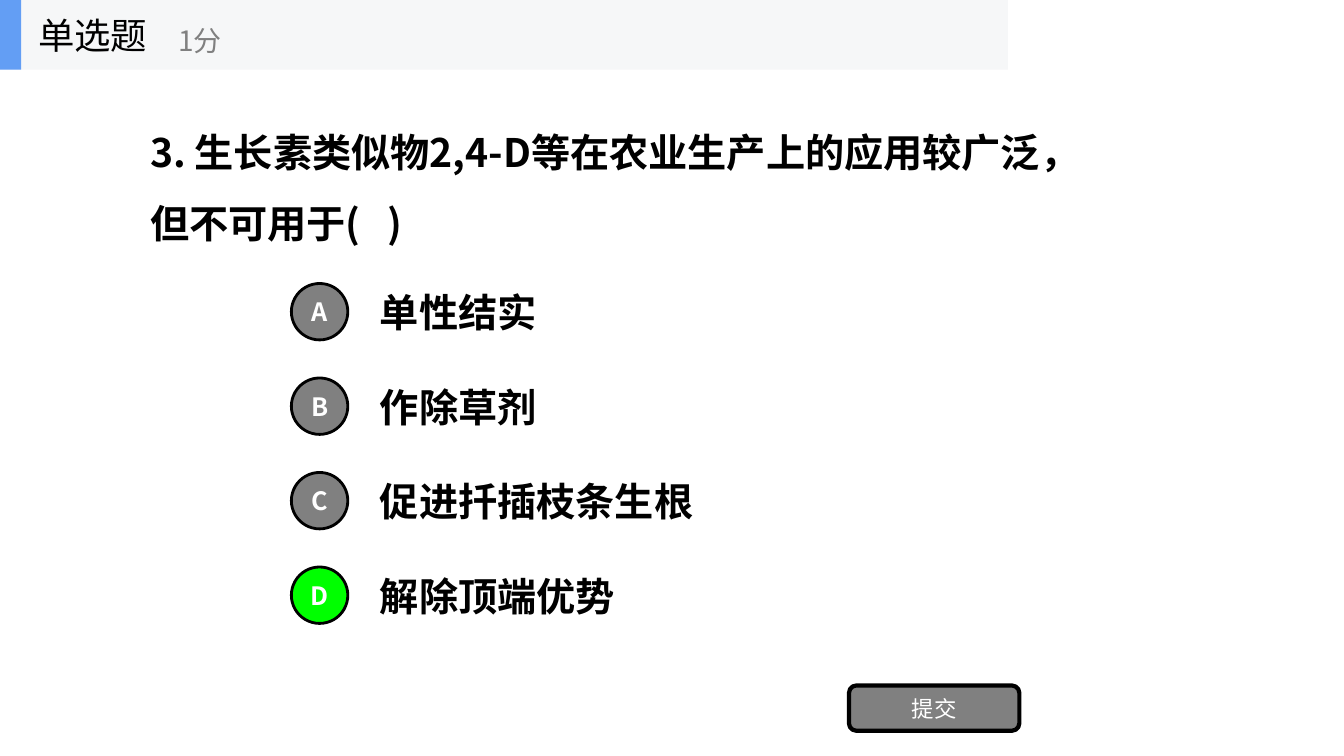
"""Build a single-choice quiz slide with four options and a submit button."""
from lxml.etree import SubElement
from pptx import Presentation
from pptx.dml.color import RGBColor
from pptx.enum.shapes import MSO_SHAPE as Shape
from pptx.enum.text import MSO_ANCHOR as Anchor, PP_ALIGN as Align
from pptx.oxml.ns import qn
from pptx.util import Inches, Pt

QUESTION = "3. 生长素类似物2,4-D等在农业生产上的应用较广泛，但不可用于(   )"
OPTIONS = [
    ("A", "单性结实", "grey"),
    ("B", "作除草剂", "grey"),
    ("C", "促进扦插枝条生根", "grey"),
    ("D", "解除顶端优势", "green"),
]
HEADING, SCORE, SUBMIT = "单选题", "1分", "提交"

FONT = "Noto Sans CJK SC"
COLOURS = {
    "black": "000000",
    "white": "FFFFFF",
    "grey": "808080",
    "green": "00FF00",
    "blue": "639EF4",
    "band": "F6F7F8",
}
WIDTH, HEIGHT = 13.33, 7.5
ROW = HEIGHT / 8
FIRST_ROW = 3
BADGE_LEFT, BADGE_SIZE = 2.89, 0.56
OPTION_LEFT, OPTION_WIDTH = 3.67, 4.61
BAND_HEIGHT = 0.69


def colour(name):
    return RGBColor.from_string(COLOURS[name])


def write(shape, text, size, ink, bold=False, align=Align.LEFT, spacing=1.0):
    frame = shape.text_frame
    frame.text = text
    frame.word_wrap = True
    frame.vertical_anchor = Anchor.MIDDLE
    paragraph = frame.paragraphs[0]
    paragraph.alignment = align
    paragraph.line_spacing = spacing
    font = paragraph.runs[0].font
    font.size, font.bold, font.name = Pt(size), bold, FONT
    font.color.rgb = colour(ink)
    SubElement(paragraph.runs[0]._r.get_or_add_rPr(), qn("a:ea"), typeface=FONT)


def add_text(slide, box, text, size, ink="black", **style):
    write(slide.shapes.add_textbox(*map(Inches, box)), text, size, ink, **style)


def add_block(slide, kind, box, fill, border=0):
    shape = slide.shapes.add_shape(kind, *map(Inches, box))
    shape.shadow.inherit = False
    shape.fill.solid()
    shape.fill.fore_color.rgb = colour(fill)
    if border:
        shape.line.color.rgb = colour("black")
        shape.line.width = Pt(border)
    else:
        shape.line.fill.background()
    return shape


def add_option(slide, row, letter, answer, fill):
    top = row * ROW
    add_text(slide, (OPTION_LEFT, top, OPTION_WIDTH, 0.57), answer, 28, bold=True)
    badge = add_block(slide, Shape.OVAL, (BADGE_LEFT, top, BADGE_SIZE, BADGE_SIZE), fill, 2)
    badge.text_frame.margin_left = badge.text_frame.margin_right = 0
    write(badge, letter, 18, "white", bold=True, align=Align.CENTER)


def main():
    presentation = Presentation()
    presentation.slide_width, presentation.slide_height = Inches(WIDTH), Inches(HEIGHT)
    slide = presentation.slides.add_slide(presentation.slide_layouts[6])

    add_text(slide, (1.39, 1.03, 9.75, 1.43), QUESTION, 28, bold=True, spacing=1.5)
    for row, option in enumerate(OPTIONS, FIRST_ROW):
        add_option(slide, row, *option)

    button = add_block(slide, Shape.ROUNDED_RECTANGLE, (8.42, 6.8, 1.69, 0.45), "grey", 3)
    write(button, SUBMIT, 16, "white", align=Align.CENTER)

    add_block(slide, Shape.RECTANGLE, (0, 0, WIDTH * 0.75, BAND_HEIGHT), "band")
    add_block(slide, Shape.RECTANGLE, (0, 0, 0.21, BAND_HEIGHT), "blue")
    add_text(slide, (0.28, 0, 2.08, BAND_HEIGHT), HEADING, 26)
    add_text(slide, (1.67, 0.12, 2.5, 0.56), SCORE, 20, "grey")
    presentation.save("out.pptx")


if __name__ == "__main__":
    main()
